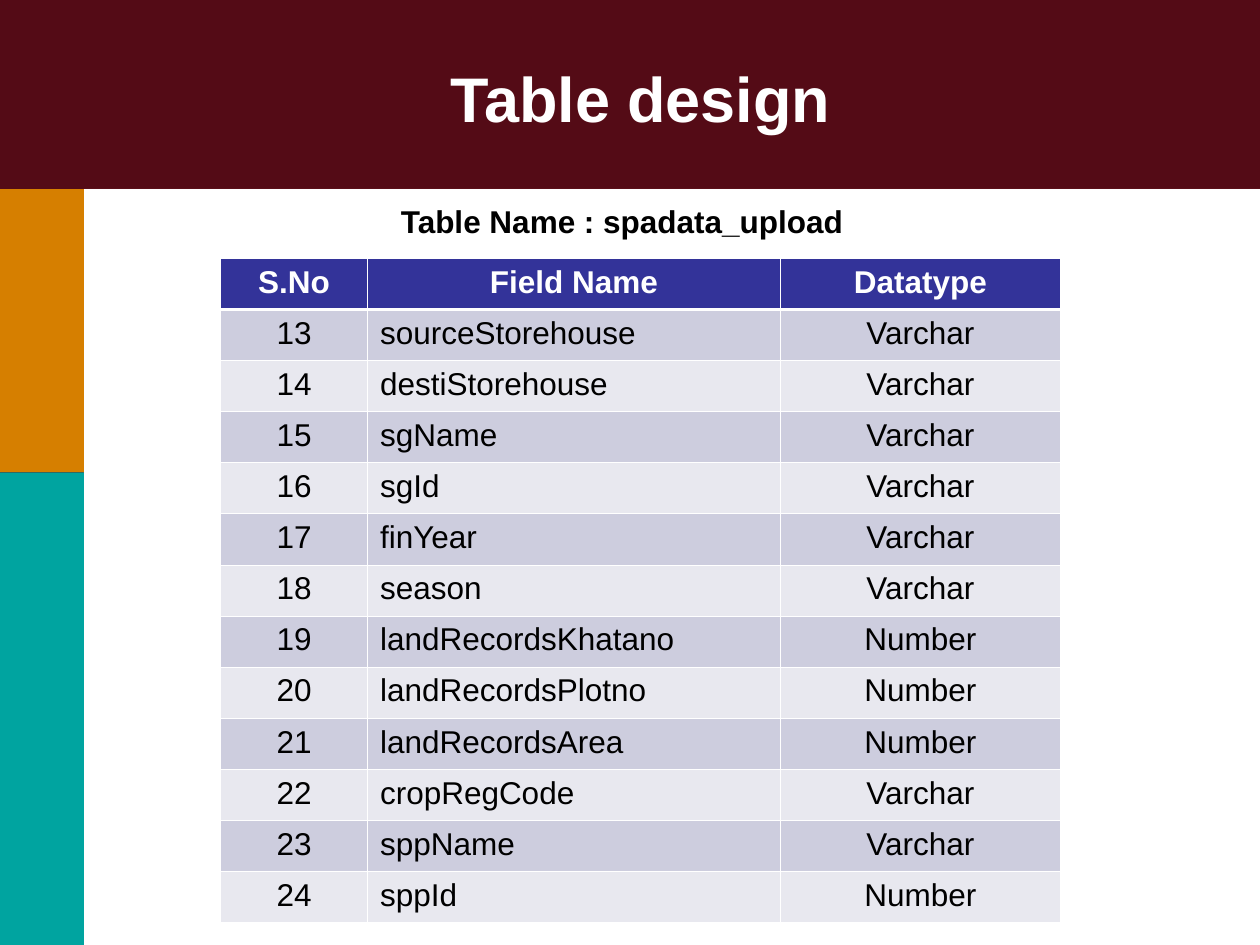
from dataclasses import dataclass

from lxml import etree
from pptx import Presentation
from pptx.dml.color import RGBColor
from pptx.enum.shapes import MSO_SHAPE
from pptx.enum.text import MSO_ANCHOR, PP_ALIGN
from pptx.oxml.ns import qn
from pptx.util import Pt

RECTANGLE = MSO_SHAPE.RECTANGLE
LEFT, CENTER = PP_ALIGN.LEFT, PP_ALIGN.CENTER
TOP, MIDDLE = MSO_ANCHOR.TOP, MSO_ANCHOR.MIDDLE


@dataclass(frozen=True)
class Theme:
    font: str = "Arial"
    title_size: float = 36
    body_size: float = 18
    thin_rule: float = 0.45
    thick_rule: float = 1.47
    backdrop: str = "003366"
    banner: str = "6C0000"
    orange: str = "D67F00"
    teal: str = "00A4A0"
    header: str = "333399"
    dark_band: str = "CDCDDE"
    light_band: str = "E8E8EF"
    white: str = "FFFFFF"
    black: str = "000000"


class SlideBuilder:
    def __init__(self, slide, theme):
        self.slide = slide
        self.theme = theme

    def background(self, color):
        fill = self.slide.background.fill
        fill.solid()
        fill.fore_color.rgb = RGBColor.from_string(color)

    def panel(self, left, top, width, height, color, opacity=100):
        panel = self.slide.shapes.add_shape(
            RECTANGLE, Pt(left), Pt(top), Pt(width), Pt(height))
        panel.shadow.inherit = False
        panel.line.fill.background()
        panel.fill.solid()
        panel.fill.fore_color.rgb = RGBColor.from_string(color)
        if opacity < 100:
            tint = panel._element.spPr.find(qn("a:solidFill"))[0]
            etree.SubElement(tint, qn("a:alpha"), val=str(opacity * 1000))

    def set_text(self, frame, text, size, color, bold, align):
        paragraph = frame.paragraphs[0]
        paragraph.text = text
        paragraph.alignment = align
        font = paragraph.font
        font.name = self.theme.font
        font.size = Pt(size)
        font.bold = bold
        font.color.rgb = RGBColor.from_string(color)

    def label(self, text, left, top, width, height, size, color,
              align=LEFT, anchor=TOP, bottom_inset=3.6):
        frame = self.slide.shapes.add_textbox(
            Pt(left), Pt(top), Pt(width), Pt(height)).text_frame
        frame.word_wrap = True
        frame.vertical_anchor = anchor
        frame.margin_bottom = Pt(bottom_inset)
        self.set_text(frame, text, size, color, True, align)

    def borders(self, cell, top, bottom):
        thin = self.theme.thin_rule
        properties = cell._tc.get_or_add_tcPr()
        for side, width in zip("LRTB", (thin, thin, top, bottom)):
            rule = etree.SubElement(properties, qn(f"a:ln{side}"), w=str(Pt(width)))
            solid = etree.SubElement(rule, qn("a:solidFill"))
            etree.SubElement(solid, qn("a:srgbClr"), val=self.theme.white)

    def table(self, rows, left, top, widths, row_height, aligns):
        theme = self.theme
        grid = self.slide.shapes.add_table(
            len(rows), len(widths), Pt(left), Pt(top),
            Pt(sum(widths)), Pt(row_height * len(rows))).table
        for column, width in zip(grid.columns, widths):
            column.width = Pt(width)
        for r, values in enumerate(rows):
            is_header = r == 0
            grid.rows[r].height = Pt(row_height)
            band = theme.dark_band if r % 2 else theme.light_band
            for c, value in enumerate(values):
                cell = grid.cell(r, c)
                self.borders(cell,
                             theme.thick_rule if r == 1 else theme.thin_rule,
                             theme.thick_rule if is_header else theme.thin_rule)
                cell.fill.solid()
                cell.fill.fore_color.rgb = RGBColor.from_string(
                    theme.header if is_header else band)
                self.set_text(cell.text_frame, value, theme.body_size,
                              theme.white if is_header else theme.black,
                              is_header, CENTER if is_header else aligns[c])


HEADINGS = ("S.No", "Field Name", "Datatype")
FIRST_NUMBER = 13
FIELDS = [
    ("sourceStorehouse", "Varchar"),
    ("destiStorehouse", "Varchar"),
    ("sgName", "Varchar"),
    ("sgId", "Varchar"),
    ("finYear", "Varchar"),
    ("season", "Varchar"),
    ("landRecordsKhatano", "Number"),
    ("landRecordsPlotno", "Number"),
    ("landRecordsArea", "Number"),
    ("cropRegCode", "Varchar"),
    ("sppName", "Varchar"),
    ("sppId", "Number"),
]


def main():
    theme = Theme()
    width, height = 720, 540
    banner_height, sidebar_width, sidebar_split = 108, 48, 270
    presentation = Presentation()
    presentation.slide_width, presentation.slide_height = Pt(width), Pt(height)
    slide = presentation.slides.add_slide(presentation.slide_layouts[6])
    builder = SlideBuilder(slide, theme)

    builder.background(theme.backdrop)
    builder.panel(sidebar_width, banner_height, width - sidebar_width,
                  height - banner_height, theme.white)
    builder.panel(0, 0, width, banner_height, theme.banner, opacity=78)
    builder.panel(0, banner_height, sidebar_width,
                  sidebar_split - banner_height, theme.orange)
    builder.panel(0, sidebar_split, sidebar_width,
                  height - sidebar_split, theme.teal)

    builder.label("Table design", 30, 25.2, 672, 102, theme.title_size,
                  theme.white, CENTER, MIDDLE, bottom_inset=45)
    rows = [HEADINGS] + [(str(number), *field)
                         for number, field in enumerate(FIELDS, FIRST_NUMBER)]
    builder.table(rows, 126, 147.6, (84, 236, 160), 29.2,
                  (CENTER, LEFT, CENTER))
    builder.label("Table Name : spadata_upload", 222, 111.8, 372, 29,
                  theme.body_size, theme.black)
    presentation.save("out.pptx")


if __name__ == "__main__":
    main()
